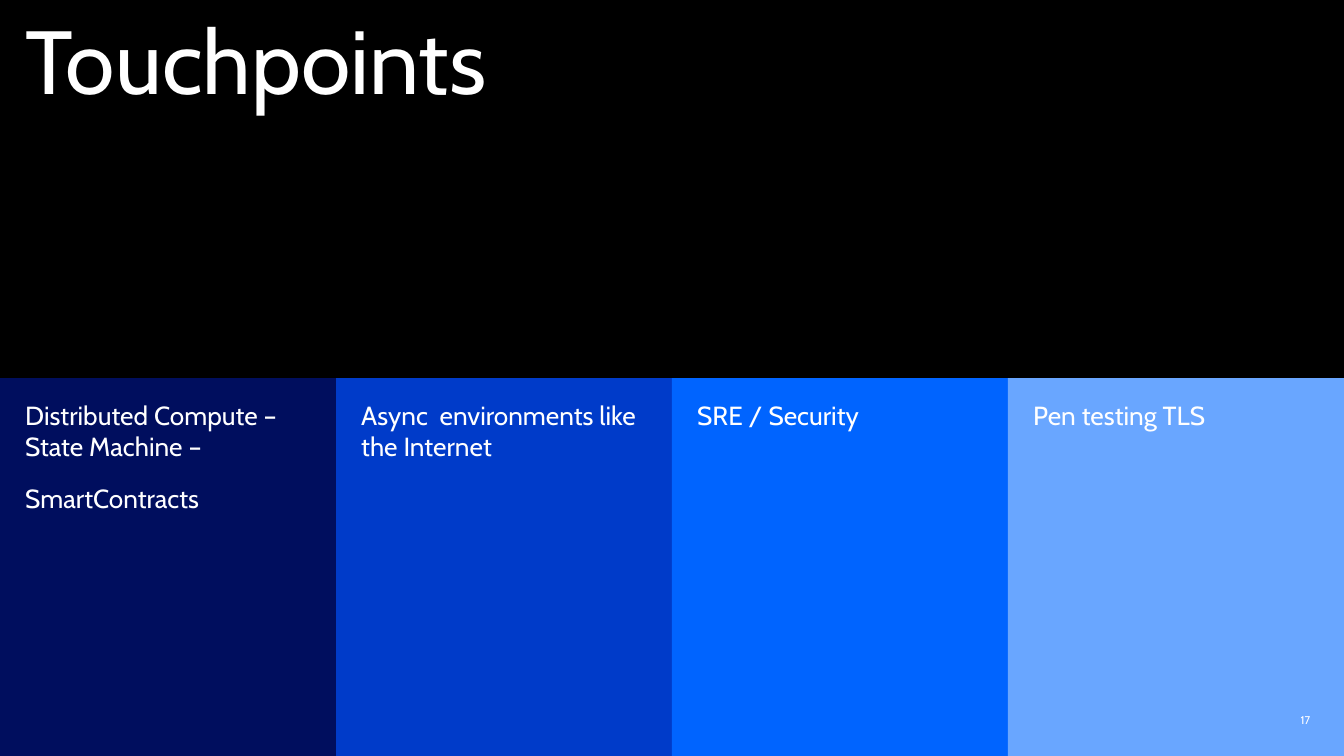
from dataclasses import dataclass

from pptx import Presentation
from pptx.dml.color import RGBColor
from pptx.enum.shapes import MSO_SHAPE
from pptx.enum.text import MSO_ANCHOR, PP_ALIGN
from pptx.shapes.autoshape import Shape
from pptx.slide import Slide
from pptx.text.text import _Paragraph
from pptx.util import Pt


@dataclass(frozen=True)
class Theme:
    font: str = "Cabin"
    text: str = "FFFFFF"
    banner: str = "000000"
    navy: str = "000E5E"
    royal: str = "003BC9"
    bright: str = "0064FF"
    sky: str = "69A6FF"
    title_size: float = 64
    body_size: float = 18.7
    number_size: float = 8


@dataclass(frozen=True)
class Area:
    left: float
    top: float
    width: float
    height: float


@dataclass(frozen=True)
class Touchpoint:
    fill: str
    paragraphs: tuple[str, ...]


THEME = Theme()
PAGE_WIDTH = 960
PAGE_HEIGHT = 540
BANNER_HEIGHT = PAGE_HEIGHT / 2
PADDING = 18
PARAGRAPH_GAP = 14.7

TOUCHPOINTS = (
    Touchpoint(THEME.navy, ("Distributed Compute – State Machine –", "SmartContracts")),
    Touchpoint(THEME.royal, ("Async  environments like the Internet",)),
    Touchpoint(THEME.bright, ("SRE / Security",)),
    Touchpoint(THEME.sky, ("Pen testing TLS",)),
)


def add_span(para: _Paragraph, text: str, size: float) -> None:
    span = para.add_run()
    span.text = text
    span.font.name = THEME.font
    span.font.size = Pt(size)
    span.font.color.rgb = RGBColor.from_string(THEME.text)


def add_panel(page: Slide, area: Area, fill: str, top_padding: float) -> Shape:
    """Add a borderless filled rectangle ready for top-left text."""
    panel = page.shapes.add_shape(
        MSO_SHAPE.RECTANGLE, Pt(area.left), Pt(area.top), Pt(area.width), Pt(area.height)
    )
    panel.shadow.inherit = False
    panel.fill.solid()
    panel.fill.fore_color.rgb = RGBColor.from_string(fill)
    panel.line.fill.background()
    frame = panel.text_frame
    frame.word_wrap = True
    frame.vertical_anchor = MSO_ANCHOR.TOP
    frame.margin_left = frame.margin_right = frame.margin_bottom = Pt(PADDING)
    frame.margin_top = Pt(top_padding)
    frame.paragraphs[0].alignment = PP_ALIGN.LEFT
    return panel


def add_title(page: Slide) -> None:
    banner = add_panel(page, Area(0, 0, PAGE_WIDTH, BANNER_HEIGHT), THEME.banner, 12)
    para = banner.text_frame.paragraphs[0]
    para.line_spacing = 0.9
    add_span(para, "Touchpoints", THEME.title_size)


def add_touchpoint(page: Slide, touchpoint: Touchpoint, area: Area) -> None:
    frame = add_panel(page, area, touchpoint.fill, 15).text_frame
    for index, text in enumerate(touchpoint.paragraphs):
        if index == 0:
            para = frame.paragraphs[0]
        else:
            para = frame.add_paragraph()
            para.alignment = PP_ALIGN.LEFT
            para.space_before = Pt(PARAGRAPH_GAP)
        add_span(para, text, touchpoint_size())


def touchpoint_size() -> float:
    return THEME.body_size


def add_page_number(page: Slide) -> None:
    box = page.shapes.add_textbox(Pt(720), Pt(507), Pt(216), Pt(14.4))
    frame = box.text_frame
    frame.word_wrap = True
    frame.vertical_anchor = MSO_ANCHOR.MIDDLE
    frame.margin_left = frame.margin_right = frame.margin_top = frame.margin_bottom = Pt(0)
    para = frame.paragraphs[0]
    para.alignment = PP_ALIGN.RIGHT
    add_span(para, "17", THEME.number_size)


def main() -> None:
    deck = Presentation()
    deck.slide_width = Pt(PAGE_WIDTH)
    deck.slide_height = Pt(PAGE_HEIGHT)
    page = deck.slides.add_slide(deck.slide_layouts[6])
    page.background.fill.solid()
    page.background.fill.fore_color.rgb = RGBColor.from_string(THEME.navy)

    add_title(page)
    column_width = PAGE_WIDTH / len(TOUCHPOINTS)
    for column, touchpoint in enumerate(TOUCHPOINTS):
        area = Area(column * column_width, BANNER_HEIGHT, column_width, PAGE_HEIGHT - BANNER_HEIGHT)
        add_touchpoint(page, touchpoint, area)
    add_page_number(page)
    deck.save("out.pptx")


if __name__ == "__main__":
    main()
